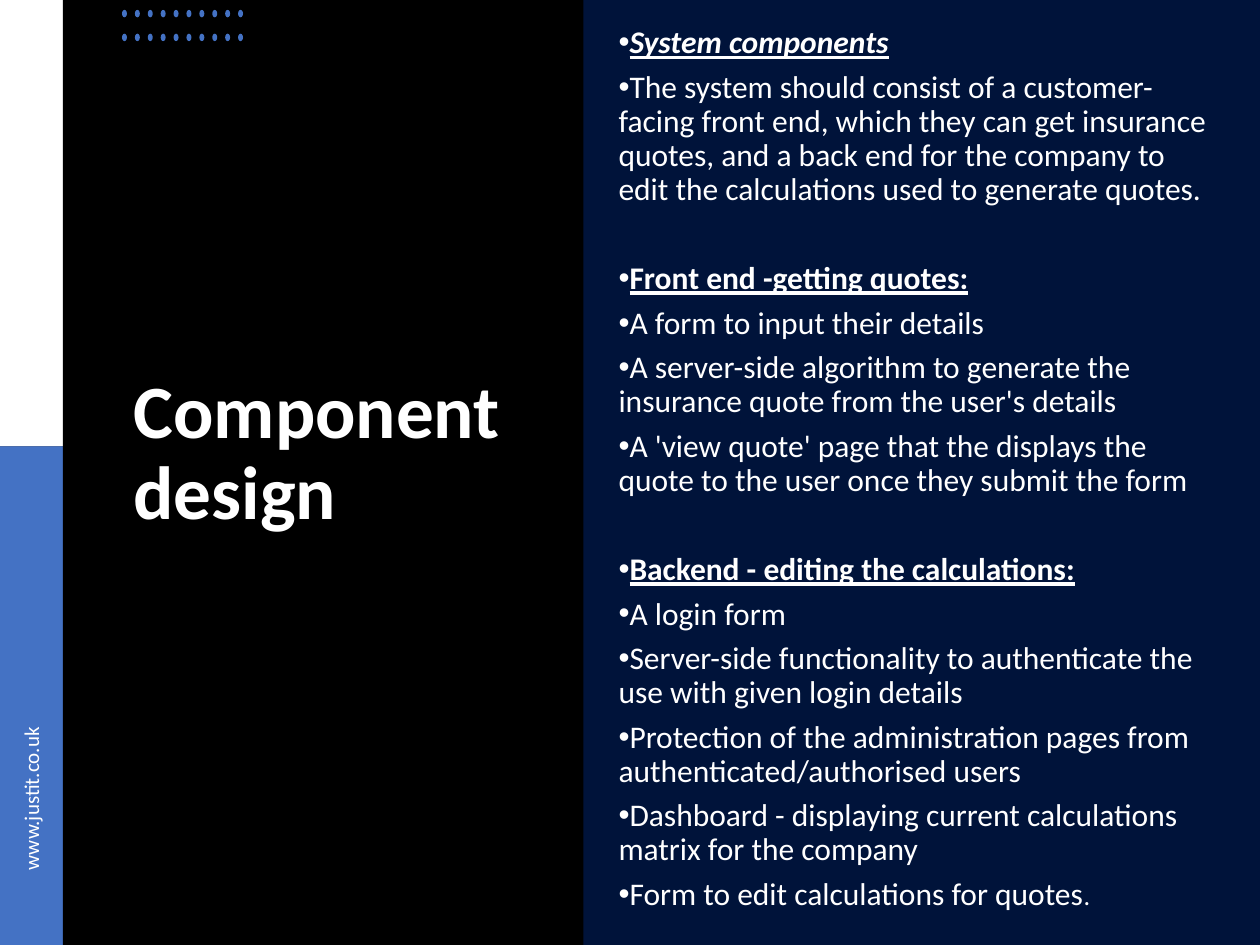
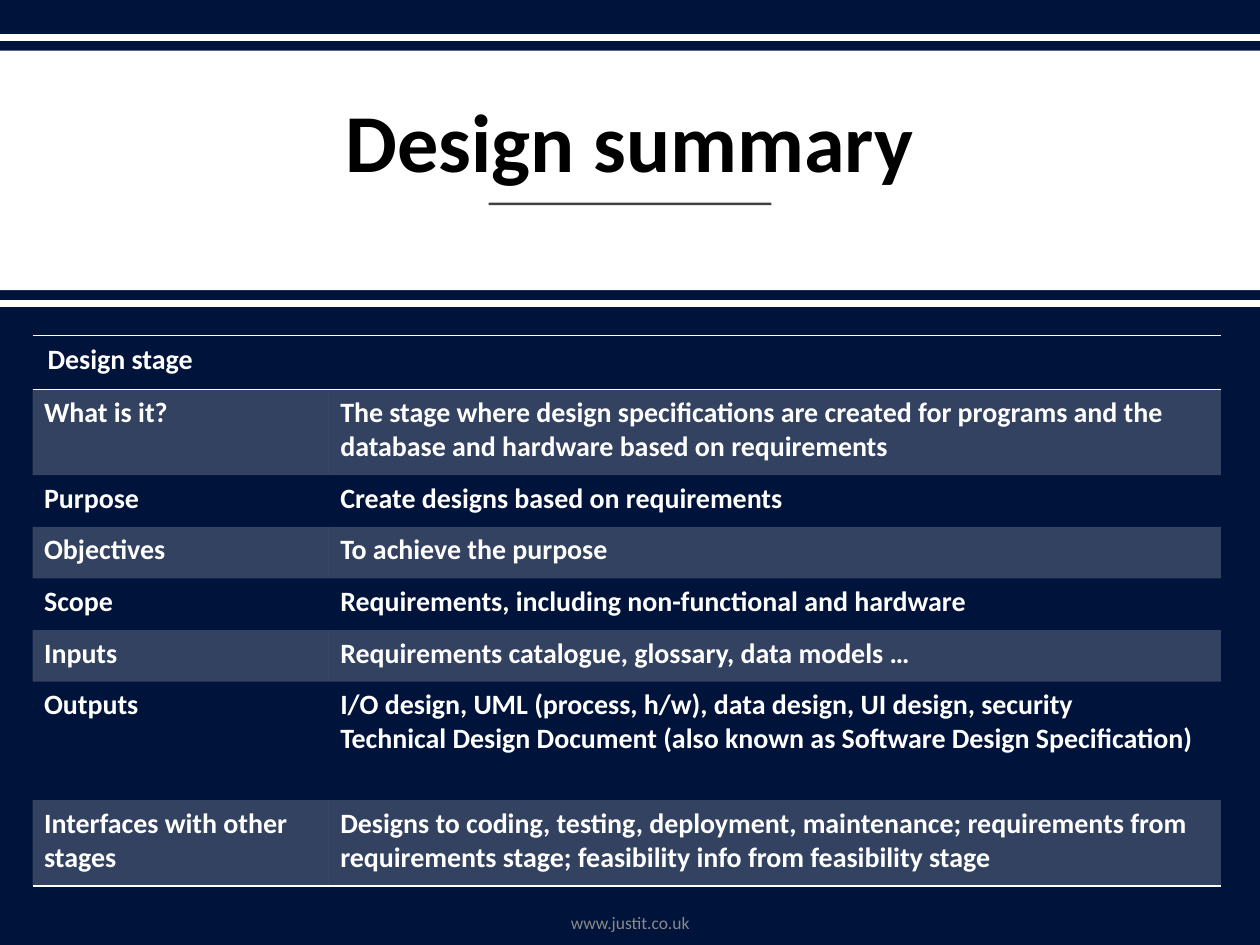
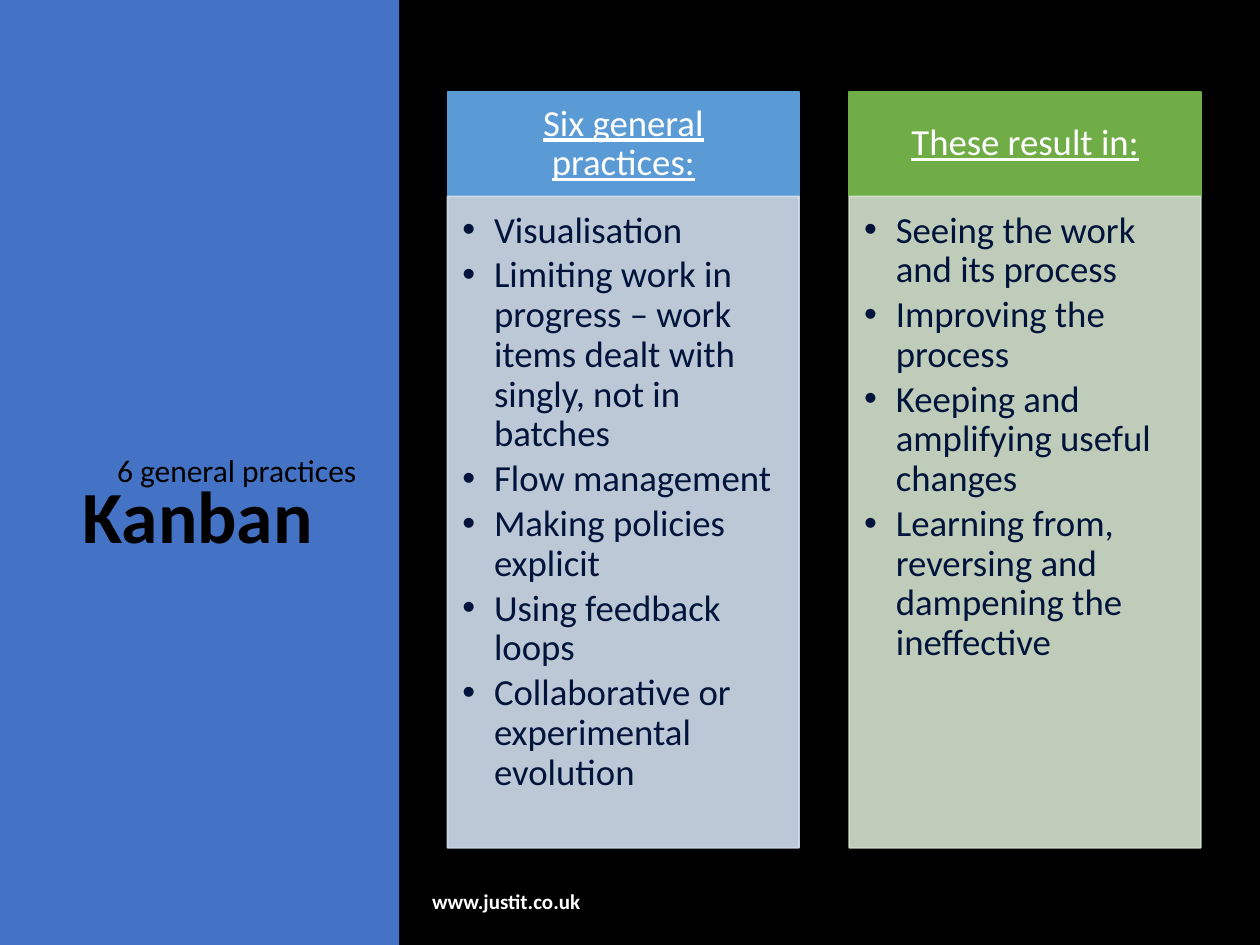
from lxml import etree
from pptx import Presentation
from pptx.dml.color import RGBColor
from pptx.enum.shapes import MSO_CONNECTOR, MSO_SHAPE
from pptx.enum.text import MSO_ANCHOR, MSO_AUTO_SIZE, PP_ALIGN
from pptx.oxml.ns import qn
from pptx.util import Cm, Pt

RECTANGLE, OVAL = MSO_SHAPE.RECTANGLE, MSO_SHAPE.OVAL
STRAIGHT = MSO_CONNECTOR.STRAIGHT
TOP, MIDDLE, BOTTOM = MSO_ANCHOR.TOP, MSO_ANCHOR.MIDDLE, MSO_ANCHOR.BOTTOM
LEFT, CENTER = PP_ALIGN.LEFT, PP_ALIGN.CENTER
NO_AUTOFIT = MSO_AUTO_SIZE.NONE

NAVY = RGBColor(0x00, 0x13, 0x3A)
BLUE = RGBColor(0x44, 0x72, 0xC4)
BLACK = RGBColor(0x00, 0x00, 0x00)
WHITE = RGBColor(0xFF, 0xFF, 0xFF)
GREY = RGBColor(0x89, 0x89, 0x89)
SKY = RGBColor(0x5B, 0x9B, 0xD5)
PALE_SKY = RGBColor(0xD2, 0xDE, 0xEF)
GREEN = RGBColor(0x70, 0xAD, 0x47)
PALE_GREEN = RGBColor(0xD5, 0xE3, 0xCF)

FONT = "Calibri"
ADDRESS = "www.justit.co.uk"
WIDTH, HEIGHT = 25.4, 19.05
TITLE_ONLY = 5

COMPONENTS = [
    ("System components", [
        "The system should consist of a customer-facing front end, which they can get "
        "insurance quotes, and a back end for the company to edit the calculations used "
        "to generate quotes.",
    ]),
    ("Front end -getting quotes:", [
        "A form to input their details",
        "A server-side algorithm to generate the insurance quote from the user's details",
        "A 'view quote' page that the displays the quote to the user once they submit the form",
    ]),
    ("Backend - editing the calculations:", [
        "A login form",
        "Server-side functionality to authenticate the use with given login details",
        "Protection of the administration pages from authenticated/authorised users",
        "Dashboard - displaying current calculations matrix for the company",
        "Form to edit calculations for quotes",
    ]),
]

STAGE_COLUMNS = [5.97, 17.98]
STAGE_ROWS = [
    (1.09, "Design stage", []),
    (1.73, "What is it?", [
        "The stage where design specifications are created for programs and the "
        "database and hardware based on requirements"]),
    (1.04, "Purpose", ["Create designs based on requirements"]),
    (1.04, "Objectives", ["To achieve the purpose"]),
    (1.04, "Scope", ["Requirements, including non-functional and hardware"]),
    (1.04, "Inputs", ["Requirements catalogue, glossary, data models …"]),
    (2.39, "Outputs", [
        "I/O design, UML (process, h/w), data design, UI design, security",
        "Technical Design Document (also known as Software Design Specification)"]),
    (1.73, "Interfaces with other stages", [
        "Designs to coding, testing, deployment, maintenance; requirements from "
        "requirements stage; feasibility info from feasibility stage"]),
]

KANBAN_CARDS = [
    ("Six general practices:", SKY, PALE_SKY, [
        "Visualisation",
        "Limiting work in progress – work items dealt with singly, not in batches",
        "Flow management",
        "Making policies explicit",
        "Using feedback loops",
        "Collaborative or experimental evolution",
    ]),
    ("These result in:", GREEN, PALE_GREEN, [
        "Seeing the work and its process",
        "Improving the process",
        "Keeping and amplifying useful changes",
        "Learning from, reversing and dampening the ineffective",
    ]),
]


def box(left, top, width, height):
    return Cm(left), Cm(top), Cm(width), Cm(height)


def fade(properties, percent):
    for color in properties.iter(qn("a:srgbClr")):
        etree.SubElement(color, qn("a:alpha"), val=str(percent * 1000))


def add_bullet(paragraph, margin):
    properties = paragraph._p.get_or_add_pPr()
    properties.set("marL", str(Cm(margin)))
    properties.set("indent", str(Cm(-0.64)))
    etree.SubElement(properties, qn("a:buFont"), typeface="Arial")
    etree.SubElement(properties, qn("a:buChar"), char="•")


def set_insets(holder, left, top, right, bottom):
    holder.margin_left, holder.margin_top = Cm(left), Cm(top)
    holder.margin_right, holder.margin_bottom = Cm(right), Cm(bottom)


def write(frame, lines, size, color, bold=False, underline=False, align=LEFT,
          spacing=None, after=None, bullet_margin=None):
    frame.text = lines[0]
    for line in lines[1:]:
        frame.add_paragraph().text = line
    for paragraph in frame.paragraphs:
        if bullet_margin is not None:
            add_bullet(paragraph, bullet_margin)
        paragraph.alignment = align
        paragraph.line_spacing = spacing
        paragraph.space_after = after
        for run in paragraph.runs:
            font = run.font
            font.name, font.size, font.bold = FONT, Pt(size), bold
            font.underline = underline
            font.color.rgb = color


def add_slide(deck, background):
    slide = deck.slides.add_slide(deck.slide_layouts[TITLE_ONLY])
    slide.background.fill.solid()
    slide.background.fill.fore_color.rgb = background
    return slide


def add_title(slide, text, area, size, color, anchor, align=CENTER):
    title = slide.shapes.title
    slide.shapes.element.append(title.element)
    title.left, title.top, title.width, title.height = box(*area)
    frame = title.text_frame
    frame.auto_size = NO_AUTOFIT
    frame.vertical_anchor = anchor
    write(frame, [text], size, color, bold=True, align=align, spacing=0.9)


def add_block(slide, area, fill, outline=False, kind=RECTANGLE):
    block = slide.shapes.add_shape(kind, *box(*area))
    block.shadow.inherit = False
    block.fill.solid()
    block.fill.fore_color.rgb = fill
    if outline:
        block.line.color.rgb = fill
        block.line.width = Pt(1)
    else:
        block.line.fill.background()
    return block


def add_text(slide, area, lines, size, color, anchor=MIDDLE, wrap=True, **style):
    text = slide.shapes.add_textbox(*box(*area))
    text.text_frame.word_wrap = wrap
    text.text_frame.vertical_anchor = anchor
    write(text.text_frame, lines, size, color, after=Pt(6), **style)
    return text


def add_rule(slide, left, right, top, color, weight):
    rule = slide.shapes.add_connector(STRAIGHT, Cm(left), Cm(top), Cm(right), Cm(top))
    rule.line.color.rgb = color
    rule.line.width = Pt(weight)
    etree.SubElement(rule.element.spPr, qn("a:effectLst"))
    return rule


def add_dots(slide):
    for row in range(2):
        for column in range(10):
            spot = (2.46 + column * 0.26, 0.2 + row * 0.48, 0.1, 0.15)
            add_block(slide, spot, BLUE, kind=OVAL)


def set_borders(cell, ruled_sides):
    properties = cell._tc.get_or_add_tcPr()
    for index, side in enumerate("LRTB"):
        border = etree.Element(qn(f"a:ln{side}"), w=str(Pt(1)))
        if side in ruled_sides:
            fill = etree.SubElement(border, qn("a:solidFill"))
            etree.SubElement(fill, qn("a:srgbClr"), val=str(WHITE))
        else:
            etree.SubElement(border, qn("a:noFill"))
        properties.insert(index, border)


def format_stage_cell(cell, row, last):
    if row % 2:
        cell.fill.solid()
        cell.fill.fore_color.rgb = WHITE
        fade(cell._tc.tcPr, 20)
    else:
        cell.fill.background()
    if row == 0:
        set_insets(cell, 0.3, 0.15, 0.3, 0.15)
    else:
        set_insets(cell, 0.23, 0.13, 0.23, 0.13)
    set_borders(cell, ("T" if row < 2 else "") + ("B" if row in (0, last) else ""))


def add_stage_table(slide):
    heights = [height for height, _, _ in STAGE_ROWS]
    area = box(0.66, 6.76, sum(STAGE_COLUMNS), sum(heights))
    table = slide.shapes.add_table(len(STAGE_ROWS), len(STAGE_COLUMNS), *area).table
    table.first_row = table.horz_banding = False
    for column, width in zip(table.columns, STAGE_COLUMNS):
        column.width = Cm(width)
    table.cell(0, 0).merge(table.cell(0, 1))
    for row, (height, aspect, details) in enumerate(STAGE_ROWS):
        table.rows[row].height = Cm(height)
        for column, lines in enumerate([[aspect], details]):
            cell = table.cell(row, column)
            format_stage_cell(cell, row, len(STAGE_ROWS) - 1)
            if lines:
                write(cell.text_frame, lines, 16, WHITE, bold=True)


def add_card(slide, left, heading, color, pale, points):
    header = add_block(slide, (left, 1.85, 7.09, 2.11), color, outline=True)
    header.text_frame.vertical_anchor = MIDDLE
    set_insets(header.text_frame, 0.41, 0.23, 0.41, 0.23)
    write(header.text_frame, [heading], 21, WHITE, underline=True, align=CENTER, spacing=0.9)

    body = add_block(slide, (left, 3.96, 7.09, 13.13), pale, outline=True)
    fade(body.element.spPr, 90)
    body.text_frame.vertical_anchor = TOP
    set_insets(body.text_frame, 0.3, 0.3, 0.41, 0.46)
    write(body.text_frame, points, 21, NAVY, spacing=0.9, after=Pt(3), bullet_margin=0.64)


def add_component_list(slide):
    lines = [line for heading, items in COMPONENTS for line in (heading, *items)]
    headings = [heading for heading, _ in COMPONENTS]
    listing = add_text(slide, (12.22, 0.36, 12.67, 18.21), lines, 18, WHITE,
                       spacing=0.9, bullet_margin=0)
    paragraphs = listing.text_frame.paragraphs
    for paragraph in paragraphs:
        if paragraph.text in headings:
            font = paragraph.runs[0].font
            font.bold = font.underline = True
            if paragraph.text == headings[0]:
                font.italic = True
            else:
                paragraph.space_before = Pt(25.5)
    full_stop = paragraphs[-1].add_run()
    full_stop.text = "."
    full_stop.font.name, full_stop.font.size = FONT, Pt(15)
    full_stop.font.color.rgb = WHITE


def build_component_design(deck):
    slide = add_slide(deck, NAVY)
    add_block(slide, (0, 0, 1.27, 9), WHITE)
    add_block(slide, (0, 9, 1.27, HEIGHT - 9), BLUE)
    add_block(slide, (1.27, 0, 10.49, HEIGHT), BLACK)
    add_title(slide, "Component\vdesign", (2.44, 3.71, 8.18, 10.9), 43, WHITE, MIDDLE, LEFT)
    add_dots(slide)
    address = add_text(slide, (-1.98, 14.68, 5.2, 1.02), [ADDRESS], 12, WHITE)
    address.rotation = 270
    add_component_list(slide)


def build_design_summary(deck):
    slide = add_slide(deck, NAVY)
    add_rule(slide, 0, WIDTH, 0.76, WHITE, 4)
    add_block(slide, (0, 1.02, WIDTH, 4.83), WHITE)
    add_title(slide, "Design summary", (1.09, 1.37, 23.22, 2.59), 47, BLACK, BOTTOM)
    underline = add_rule(slide, 9.85, 15.55, 4.11, BLACK, 1.5)
    fade(underline.element.spPr, 75)
    add_rule(slide, 0, WIDTH, 6.12, WHITE, 4)
    add_text(slide, (8.41, 18.11, 8.59, 0.97), [ADDRESS], 10, GREY, align=CENTER)
    add_stage_table(slide)


def build_kanban(deck):
    slide = add_slide(deck, BLACK)
    add_block(slide, (0, 0, 8.05, HEIGHT), BLUE)
    add_title(slide, "Kanban", (0.66, 9.55, 6.65, 7.62), 42, BLACK, TOP)
    add_text(slide, (2.11, 8.97, 5.41, 1.02), ["6 general practices"], 18, BLACK,
             anchor=TOP, wrap=False)
    add_text(slide, (8.46, 17.65, 8.51, 1.02), [ADDRESS], 12, WHITE, bold=True)
    for position, card in enumerate(KANBAN_CARDS):
        add_card(slide, 9.02 + position * 8.1, *card)


def main():
    deck = Presentation()
    deck.slide_width, deck.slide_height = Cm(WIDTH), Cm(HEIGHT)
    build_component_design(deck)
    build_design_summary(deck)
    build_kanban(deck)
    deck.save("out.pptx")


if __name__ == "__main__":
    main()
